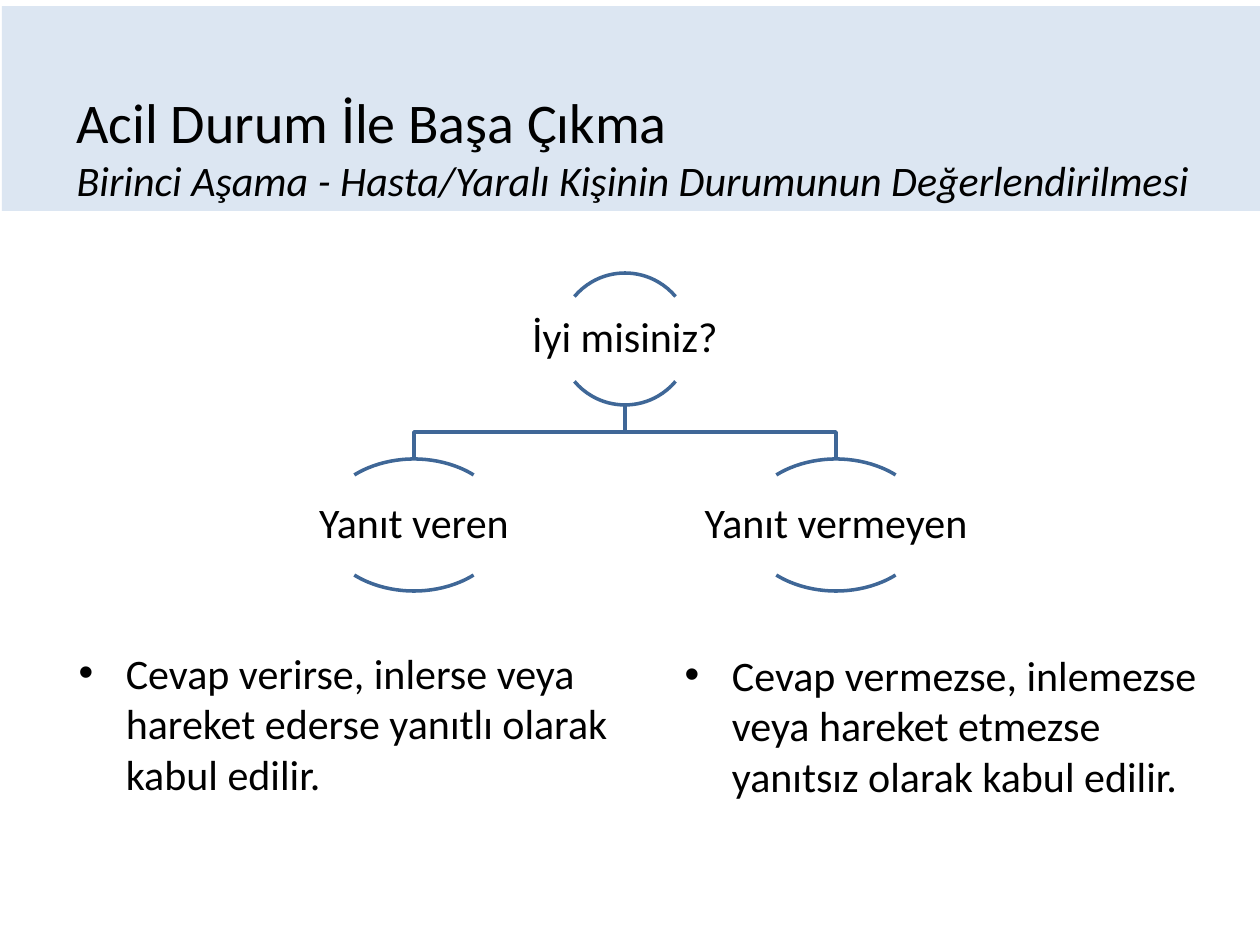
from dataclasses import dataclass

from pptx import Presentation
from pptx.dml.color import RGBColor
from pptx.enum.shapes import MSO_SHAPE
from pptx.enum.text import MSO_ANCHOR, MSO_AUTO_SIZE, PP_ALIGN
from pptx.util import Inches, Pt

RECT, ARC = MSO_SHAPE.RECTANGLE, MSO_SHAPE.ARC
LEFT, CENTER = PP_ALIGN.LEFT, PP_ALIGN.CENTER
TOP, MIDDLE = MSO_ANCHOR.TOP, MSO_ANCHOR.MIDDLE
NO_FIT = MSO_AUTO_SIZE.NONE
TWO_CONTENT = 3
PX = Inches(1) / 126


@dataclass(frozen=True)
class Theme:
    font: str = "Calibri"
    text: RGBColor = RGBColor(0x00, 0x00, 0x00)
    banner: RGBColor = RGBColor(0xDC, 0xE6, 0xF2)
    line: RGBColor = RGBColor(0x3F, 0x67, 0x97)
    line_width: int = Pt(2)
    title_size: int = Pt(32)
    body_size: int = Pt(24)


def px(*values):
    return [round(v * PX) for v in values]


def assign(obj, **values):
    for name, value in values.items():
        setattr(obj, name, value)


class SlideBuilder:
    ARC_SPANS = ((220, 320), (40, 140))  # degrees, clockwise from the right
    NODE_H = 132
    LABEL_W, LABEL_H = 366, 83

    def __init__(self, slide, theme):
        self.slide, self.theme = slide, theme

    def run(self, p, text, size, italic=None):
        r = p.add_run()
        r.text = text
        assign(r.font, name=self.theme.font, size=size, italic=italic)
        r.font.color.rgb = self.theme.text

    def outline(self, sp):
        sp.shadow.inherit = False
        sp.fill.background()
        sp.line.color.rgb = self.theme.line
        sp.line.width = self.theme.line_width

    def banner(self, *box):
        sp = self.slide.shapes.add_shape(RECT, *px(*box))
        sp.shadow.inherit = False
        sp.fill.solid()
        sp.fill.fore_color.rgb = self.theme.banner
        sp.line.fill.background()

    def placeholder(self, idx, box, anchor):
        """Move a template placeholder and return its first paragraph."""
        sp = self.slide.placeholders[idx]
        assign(sp, **dict(zip(("left", "top", "width", "height"), px(*box))))
        tf = sp.text_frame
        assign(tf, word_wrap=True, auto_size=NO_FIT, vertical_anchor=anchor)
        p = tf.paragraphs[0]
        assign(p, alignment=LEFT, space_before=Pt(0))
        return p

    def title(self, heading, subtitle, box):
        p = self.placeholder(0, box, MIDDLE)
        self.run(p, heading, self.theme.title_size)
        p.add_line_break()
        self.run(p, subtitle, self.theme.body_size, italic=True)

    def bullet(self, idx, text, box):
        p = self.placeholder(idx, box, TOP)
        self.run(p, text, self.theme.body_size)

    def branch(self, parent, child):
        """Draw a stepped line from below the parent to above the child."""
        (x1, y1), (x2, y2) = parent, child
        start, end = y1 + self.NODE_H // 2, y2 - self.NODE_H // 2
        middle = (start + end) // 2
        builder = self.slide.shapes.build_freeform(x1, start, scale=PX)
        builder.add_line_segments([(x1, middle), (x2, middle), (x2, end)], close=False)
        self.outline(builder.convert_to_shape())

    def node(self, text, center, width):
        """Draw a label between an upper and a lower arc."""
        x, y = center
        box = px(x - width / 2, y - self.NODE_H / 2, width, self.NODE_H)
        for span in self.ARC_SPANS:
            sp = self.slide.shapes.add_shape(ARC, *box)
            for i, degrees in enumerate(span):
                sp.adjustments[i] = degrees * 0.6
            self.outline(sp)
        tf = self.slide.shapes.add_textbox(*px(
            x - self.LABEL_W / 2, y - self.LABEL_H / 2, self.LABEL_W, self.LABEL_H
        )).text_frame
        inset = Inches(0.02)
        assign(tf, word_wrap=True, vertical_anchor=MIDDLE, margin_left=inset,
               margin_right=inset, margin_top=inset, margin_bottom=inset)
        p = tf.paragraphs[0]
        assign(p, alignment=CENTER, line_spacing=0.9)
        self.run(p, text, self.theme.body_size)


def main():
    prs = Presentation()
    assign(prs, slide_width=Inches(10), slide_height=Inches(7.5))
    slide = prs.slides.add_slide(prs.slide_layouts[TWO_CONTENT])
    b = SlideBuilder(slide, Theme())

    b.banner(2, 6, 1258, 205)
    # The banner lies behind the placeholders
    tree = slide.shapes[0].element.getparent()
    tree.insert(2, slide.shapes[-1].element)

    b.title("Acil Durum İle Başa Çıkma",
            "Birinci Aşama - Hasta/Yaralı Kişinin Durumunun Değerlendirilmesi",
            (64, 67, 1193, 158))

    question = (625, 339)
    answers = {"Yanıt veren": (414, 525), "Yanıt vermeyen": (836, 525)}
    for center in answers.values():
        b.branch(question, center)
    b.node("İyi misiniz?", question, 132)
    for text, center in answers.items():
        b.node(text, center, 183)

    b.bullet(1, "Cevap verirse, inlerse veya hareket ederse yanıtlı olarak kabul edilir.",
             (66, 641, 586, 169))
    b.bullet(2, "Cevap vermezse, inlemezse veya hareket etmezse yanıtsız olarak kabul edilir.",
             (672, 643, 554, 166))
    prs.save("out.pptx")


if __name__ == "__main__":
    main()
